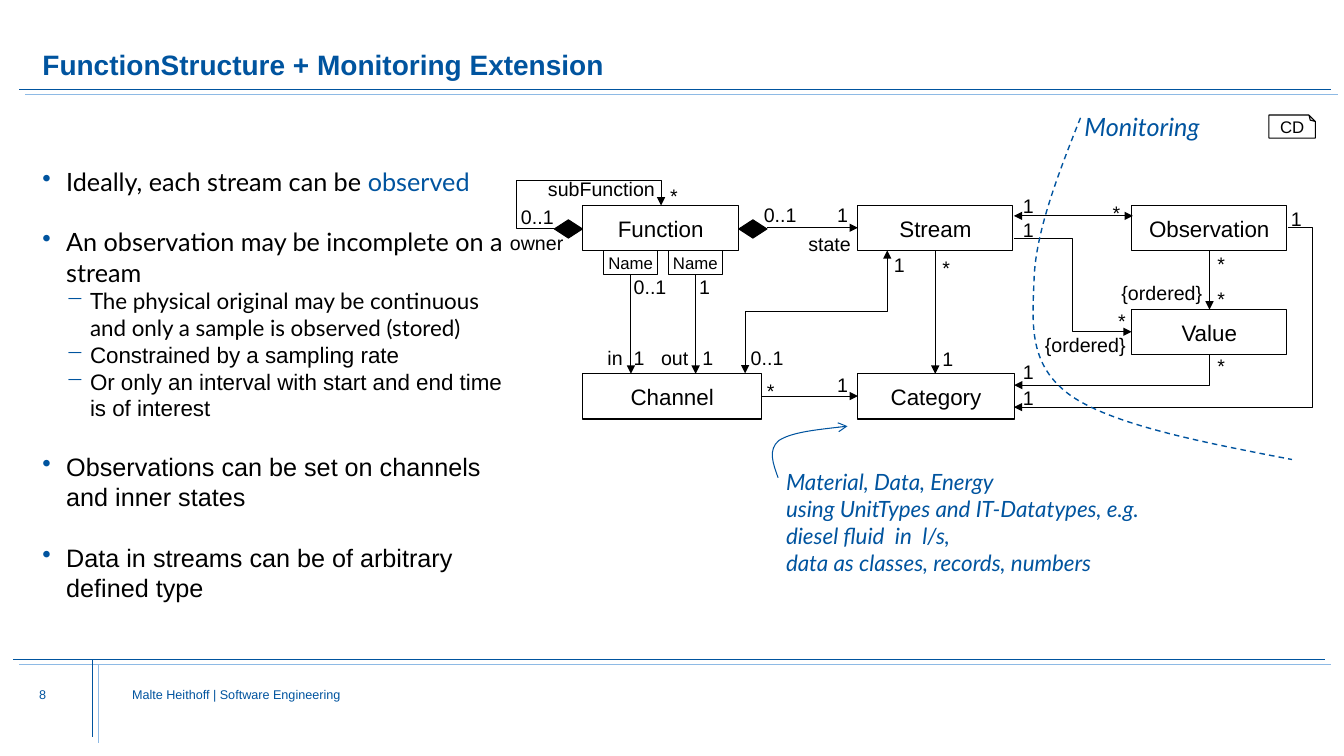
from lxml import etree
from pptx import Presentation
from pptx.dml.color import RGBColor
from pptx.enum.dml import MSO_LINE
from pptx.enum.shapes import MSO_CONNECTOR, MSO_SHAPE
from pptx.enum.text import MSO_ANCHOR, PP_ALIGN
from pptx.oxml.ns import qn
from pptx.util import Cm, Pt

COLORS = {"blue": "00549F", "sky": "8EBAE5", "black": "000000", "white": "FFFFFF"}
RECT, DIAMOND, FOLDED = MSO_SHAPE.RECTANGLE, MSO_SHAPE.DIAMOND, MSO_SHAPE.FOLDED_CORNER
STRAIGHT, ELBOW, DASH = MSO_CONNECTOR.STRAIGHT, MSO_CONNECTOR.ELBOW, MSO_LINE.DASH
LEFT, CENTER, RIGHT = PP_ALIGN.LEFT, PP_ALIGN.CENTER, PP_ALIGN.RIGHT
TOP, MIDDLE, BOTTOM = MSO_ANCHOR.TOP, MSO_ANCHOR.MIDDLE, MSO_ANCHOR.BOTTOM
ROW_TOP, VALUE_TOP, ROW_BOTTOM, CLASS_HEIGHT = 5.18, 7.8, 9.42, 1.14


def rgb(color):
    return RGBColor.from_string(COLORS[color])


class DiagramSlide:
    """Slide with one style for text, class boxes, connectors and curves."""

    def __init__(self, slide):
        self.shapes = slide.shapes

    def style(self, paragraph, size, color="black", face="Arial", bold=False,
              italic=False, align=LEFT, spacing=None):
        paragraph.alignment = align
        if spacing:
            paragraph.line_spacing = spacing
        font = paragraph.font
        font.size, font.name, font.bold, font.italic = Pt(size), face, bold, italic
        font.color.rgb = rgb(color)

    def text(self, lines, left, top, width, height, size, inset=True, anchor=TOP, **look):
        frame = self.shapes.add_textbox(Cm(left), Cm(top), Cm(width), Cm(height)).text_frame
        frame.word_wrap = True
        frame.vertical_anchor = anchor
        if not inset:
            frame.margin_left = frame.margin_top = frame.margin_right = frame.margin_bottom = 0
        for index, line in enumerate(lines):
            paragraph = frame.add_paragraph() if index else frame.paragraphs[0]
            paragraph.text = line
            self.style(paragraph, size, **look)
        return frame

    def bullet(self, paragraph, words, level, face, gap):
        paragraph.text = words
        paragraph.level = level
        properties = paragraph._p.get_or_add_pPr()
        properties.set("marL", str(Cm(0.6 * (level + 1))))
        properties.set("indent", str(-Cm(0.6)))
        bullet_color = etree.SubElement(properties, qn("a:buClr"))
        etree.SubElement(bullet_color, qn("a:srgbClr")).set("val", COLORS["blue"])
        etree.SubElement(properties, qn("a:buChar")).set("char", "•−"[level])
        self.style(paragraph, 18 - 2 * level, face=face)
        paragraph.space_before = Pt(gap)

    def box(self, kind, left, top, width, height, caption="", size=16, fill=None):
        shape = self.shapes.add_shape(kind, Cm(left), Cm(top), Cm(width), Cm(height))
        shape.shadow.inherit = False
        if fill:
            shape.fill.solid()
            shape.fill.fore_color.rgb = rgb(fill)
        else:
            shape.fill.background()
        self.stroke(shape, "black", 0.75)
        if caption:
            shape.text_frame.text = caption
            shape.text_frame.word_wrap = False
            shape.text_frame.vertical_anchor = MIDDLE
            self.style(shape.text_frame.paragraphs[0], size, align=CENTER)
        return shape

    def stroke(self, shape, color, weight, head=None, tail=None, dash=None):
        shape.line.color.rgb = rgb(color)
        shape.line.width = Pt(weight)
        if dash:
            shape.line.dash_style = dash
        outline = shape._element.spPr.find(qn("a:ln"))
        for tag, tip in (("a:headEnd", head), ("a:tailEnd", tail)):
            if tip:
                etree.SubElement(outline, qn(tag)).set("type", tip)

    def line(self, begin, end, color="black", weight=0.75, kind=STRAIGHT, **tips):
        connector = self.shapes.add_connector(kind, *map(Cm, begin + end))
        self.stroke(connector, color, weight, **tips)
        etree.SubElement(connector._element.spPr, qn("a:effectLst"))
        return connector

    def adjust(self, geometry, guides):
        values = geometry.find(qn("a:avLst"))
        if values is None:
            values = etree.SubElement(geometry, qn("a:avLst"))
        for name, value in guides.items():
            etree.SubElement(values, qn("a:gd"), name=name, fmla=f"val {round(value * 100000)}")

    def elbow(self, begin, end, preset, turn=0, head=None, **guides):
        properties = self.line(begin, end, kind=ELBOW, head=head, tail="triangle")._element.spPr
        properties.find(qn("a:xfrm")).set("rot", str(turn * 60000))
        geometry = properties.find(qn("a:prstGeom"))
        geometry.set("prst", preset)
        self.adjust(geometry, guides)

    def curve(self, points, weight, **look):
        start, *rest = [(Cm(x), Cm(y)) for x, y in points]
        builder = self.shapes.build_freeform(*start)
        builder.add_line_segments(rest, close=False)
        shape = builder.convert_to_shape()
        path = next(shape._element.iter(qn("a:path")))
        steps = path.findall(qn("a:lnTo"))
        for first in range(0, len(steps), 3):
            bezier = etree.SubElement(path, qn("a:cubicBezTo"))
            for step in steps[first:first + 3]:
                bezier.append(step.find(qn("a:pt")))
                path.remove(step)
        shape.shadow.inherit = False
        shape.fill.background()
        self.stroke(shape, "blue", weight, **look)


def build():
    deck = Presentation()
    deck.slide_width, deck.slide_height = Cm(33.87), Cm(19.05)
    page = DiagramSlide(deck.slides.add_slide(deck.slide_layouts[6]))

    for begin, end, color in (
            ((0.48, 2.26), (33.55, 2.26), "blue"), ((0.64, 2.39), (33.71, 2.39), "sky"),
            ((0.33, 16.61), (33.38, 16.61), "blue"), ((0.48, 16.74), (33.55, 16.74), "sky"),
            ((2.34, 16.61), (2.34, 18.57), "blue"), ((2.49, 16.76), (2.49, 18.72), "sky")):
        page.line(begin, end, color, 0.5)
    page.text(["Malte Heithoff | Software Engineering"], 3.33, 17.3, 19.46, 1.75, 9,
              inset=False, color="blue")
    page.text(["8"], 0.99, 17.3, 2.03, 1.09, 9, inset=False, color="blue")
    page.text(["FunctionStructure + Monitoring Extension"], 1.07, 0.56, 31.9, 1.5, 20,
              inset=False, anchor=BOTTOM, color="blue", bold=True, spacing=0.9)

    points = page.text([], 1.07, 3.43, 11.86, 12.19, 18, inset=False)
    points.margin_top = Cm(0.76)
    for index, point in enumerate((
            ("Ideally, each stream can be ", 0, "Lato", 0),
            ("An observation may be incomplete on a stream", 0, "Lato", 21.5),
            ("The physical original may be continuous and only a sample is observed (stored)",
             1, "Lato", 0),
            ("Constrained by a sampling rate", 1, "Arial", 0),
            ("Or only an interval with start and end time is of interest", 1, "Arial", 0),
            ("Observations can be set on channels and inner states", 0, "Arial", 21.5),
            ("Data in streams can be of arbitrary defined type", 0, "Arial", 21.5))):
        page.bullet(points.add_paragraph() if index else points.paragraphs[0], *point)
    observed = points.paragraphs[0].add_run()
    observed.text = "observed"
    observed.font.color.rgb = rgb("blue")

    for name, left, top, width in (
            ("Function", 14.68, ROW_TOP, 3.94), ("Stream", 21.62, ROW_TOP, 3.91),
            ("Observation", 28.52, ROW_TOP, 3.91), ("Value", 28.52, VALUE_TOP, 3.91),
            ("Channel", 14.68, ROW_BOTTOM, 4.52), ("Category", 21.62, ROW_BOTTOM, 3.94)):
        page.box(RECT, left, top, width, CLASS_HEIGHT, name)
    for qualifier_left, diamond_left in ((15.21, 13.97), (16.84, 18.62)):
        page.box(RECT, qualifier_left, 6.32, 1.37, 0.61, "Name", 12)
        page.box(DIAMOND, diamond_left, 5.54, 0.71, 0.46, fill="black")

    for begin, end in (
            ((30.48, 6.32), (30.48, VALUE_TOP)), ((23.57, 6.32), (23.57, ROW_BOTTOM)),
            ((17.53, 6.93), (17.53, ROW_BOTTOM)), ((15.9, 6.93), (15.9, ROW_BOTTOM)),
            ((19.33, 5.74), (21.62, 5.74)), ((19.2, 9.98), (21.62, 9.98))):
        page.line(begin, end, tail="triangle")
    page.line((28.55, 5.44), (25.55, 5.44), head="triangle", tail="triangle")
    page.elbow((25.55, 6.02), (28.52, 8.36), "bentConnector3", adj1=0.5)
    page.elbow((27.64, 6.86), (28.4, 11.79), "bentConnector2", turn=90)
    page.elbow((32.46, 5.74), (25.55, 10.26), "bentConnector3", adj1=-0.09)
    page.elbow((16.66, 5.18), (13.97, 5.77), "bentConnector4", turn=180, adj1=-0.35, adj2=2.07)
    page.elbow((22.12, 9.65), (19.02, 6.07), "bentConnector3", 90, "triangle", adj1=0.5)

    for label, width, places in (
            ("1", 0.74, ((25.53, 4.75), (25.53, 5.36), (25.53, 8.94), (25.53, 9.6),
                         (20.85, 4.98), (20.85, 9.27), (17.37, 6.81), (17.45, 8.59),
                         (15.72, 8.59), (22.28, 6.25), (23.5, 8.61), (32.28, 5.08))),
            ("*", 0.74, ((30.43, 6.22), (30.43, 7.11), (30.43, 8.79), (27.79, 4.95),
                         (16.64, 4.52), (23.5, 6.32), (19.08, 9.42))),
            ("0..1", 1.4, ((15.72, 6.81), (19, 4.98), (12.88, 5.05), (18.67, 8.59))),
            ("state", 1.62, ((20.12, 5.72),)), ("subFunction", 3.23, ((13.56, 4.34),)),
            ("owner", 1.92, ((12.6, 5.69),)), ("in", 0.99, ((15.06, 8.59),)),
            ("out", 1.27, ((16.41, 8.59),))):
        for left, top in places:
            page.text([label], left, top, width, 0.86, 14)
    page.text(["*\n{ordered}"], 25.17, 7.67, 3.45, 1.45, 14, align=RIGHT)
    page.text(["{ordered}"], 27.86, 6.96, 2.69, 0.86, 14, align=RIGHT)

    diagram_tag = page.box(FOLDED, 31.98, 2.9, 1.17, 0.58, "CD", 12, "white")
    tag_properties = diagram_tag._element.spPr
    page.adjust(tag_properties.find(qn("a:prstGeom")), {"adj": 0.28})
    tag_properties.find(qn("a:xfrm")).set("flipV", "1")
    diagram_tag.text_frame._txBody.bodyPr.set("rot", "10800000")
    diagram_tag.text_frame.paragraphs[0].line_spacing = 0.7

    page.text(["Monitoring"], 27.08, 2.69, 3.78, 1.02, 18, color="blue", face="Lato", italic=True)
    page.curve([(27.23, 2.97), (26.64, 4.45), (26.09, 5.89), (26.06, 7.06), (26.01, 8.23),
                (25.93, 9.22), (27, 9.98), (28.09, 10.72), (30.33, 11.15), (32.56, 11.58)],
               1, dash=DASH)
    page.curve([(19.61, 12.04), (19.48, 11.68), (19.35, 11.33), (19.63, 11.1),
                (19.94, 10.9), (20.65, 10.82), (21.36, 10.74)], 0.75, tail="arrow")
    page.text(["Material, Data, Energy\nusing UnitTypes and IT-Datatypes, e.g.",
               "diesel fluid  in  l/s,", "data as classes, records, numbers"],
              19.56, 11.68, 12.67, 3, 16, color="blue", face="Lato", italic=True)
    deck.save("out.pptx")


if __name__ == "__main__":
    build()
